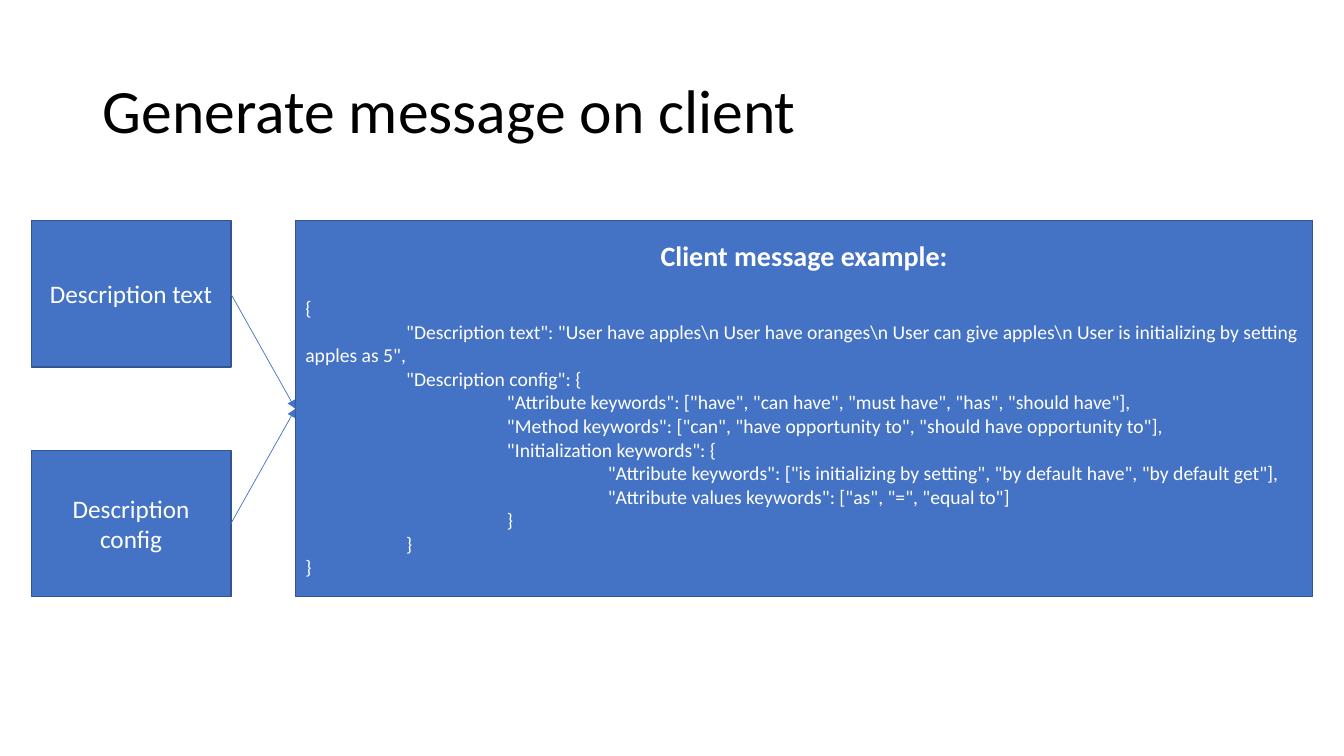
"""Build the slide that shows how the client message is put together."""
from dataclasses import dataclass

from pptx import Presentation
from pptx.dml.color import RGBColor
from pptx.enum.shapes import MSO_CONNECTOR, MSO_SHAPE
from pptx.enum.text import MSO_ANCHOR, PP_ALIGN
from pptx.oxml.ns import qn
from pptx.util import Inches, Pt
from lxml import etree

RECT = MSO_SHAPE.RECTANGLE
STRAIGHT = MSO_CONNECTOR.STRAIGHT
MIDDLE = MSO_ANCHOR.MIDDLE
LEFT, CENTER = PP_ALIGN.LEFT, PP_ALIGN.CENTER
LEFT_SITE, RIGHT_SITE = 1, 3

FONT = "Calibri"
COLORS = {"text": "000000", "fill": "4472C4", "border": "325491", "white": "FFFFFF"}


@dataclass
class Line:
    """A paragraph with its first-line indent in inches."""
    text: str
    size: int = 14
    indent: int = 0
    align: PP_ALIGN = LEFT
    bold: bool = False
    after: float = 0


@dataclass
class Box:
    """A filled rectangle, measured in inches."""
    left: float
    top: float
    width: float
    height: float
    lines: list[Line]


INPUT_SIZE = (1.98, 1.45)
TEXT_BOX = Box(0.31, 2.19, *INPUT_SIZE, [Line("Description text", 18, align=CENTER)])
CONFIG_BOX = Box(0.31, 4.47, *INPUT_SIZE, [Line("Description config", 18, align=CENTER)])
MESSAGE_BOX = Box(2.93, 2.19, 10.09, 3.73, [
    Line("Client message example:", 20, align=CENTER, bold=True, after=17),
    Line("{"),
    Line('"Description text": "User have apples\\n User have oranges\\n '
         'User can give apples\\n User is initializing by setting apples as 5",', indent=1),
    Line('"Description config": {', indent=1),
    Line('"Attribute keywords": ["have", "can have", "must have", "has", "should have"],', indent=2),
    Line('"Method keywords": ["can", "have opportunity to", "should have opportunity to"],', indent=2),
    Line('"Initialization keywords": {', indent=2),
    Line('"Attribute keywords": ["is initializing by setting", "by default have", '
         '"by default get"],', indent=3),
    Line('"Attribute values keywords": ["as", "=", "equal to"]', indent=3),
    Line("}", indent=2),
    Line("}", indent=1),
    Line("}"),
])


def rgb(name: str) -> RGBColor:
    """Look up a named colour."""
    return RGBColor.from_string(COLORS[name])


def set_font(p, size: int, color: str, bold: bool = False) -> None:
    """Format a whole paragraph."""
    p.font.name, p.font.size, p.font.bold = FONT, Pt(size), bold
    p.font.color.rgb = rgb(color)


def add_box(s, box: Box):
    """Draw a rectangle with its lines of text."""
    sp = s.shapes.add_shape(RECT, Inches(box.left), Inches(box.top),
                            Inches(box.width), Inches(box.height))
    sp.shadow.inherit = False
    sp.fill.solid()
    sp.fill.fore_color.rgb = rgb("fill")
    sp.line.color.rgb = rgb("border")
    sp.line.width = Pt(1)
    tf = sp.text_frame
    tf.word_wrap = True
    tf.vertical_anchor = MIDDLE
    for i, line in enumerate(box.lines):
        p = tf.add_paragraph() if i else tf.paragraphs[0]
        p.text = line.text
        p.alignment = line.align
        p.space_after = Pt(line.after)
        set_font(p, line.size, "white", line.bold)
        if line.indent:
            p._p.get_or_add_pPr().set("indent", str(Inches(line.indent)))
    return sp


def add_arrow(s, source, target) -> None:
    """Connect the right side of one box to the left side of another."""
    cx = s.shapes.add_connector(STRAIGHT, 0, 0, 0, 0)
    cx.begin_connect(source, RIGHT_SITE)
    cx.end_connect(target, LEFT_SITE)
    cx.line.color.rgb = rgb("fill")
    cx.line.width = Pt(0.5)
    etree.SubElement(cx.line._get_or_add_ln(), qn("a:tailEnd"), type="triangle")
    etree.SubElement(cx._element.spPr, qn("a:effectLst"))


def add_title(s, text: str) -> None:
    """Place and format the slide title."""
    title = s.shapes.title
    title.left, title.top = Inches(0.92), Inches(0.4)
    title.width, title.height = Inches(11.5), Inches(1.45)
    tf = title.text_frame
    tf.text = text
    tf.word_wrap = True
    tf.vertical_anchor = MIDDLE
    p = tf.paragraphs[0]
    p.alignment = LEFT
    p.line_spacing = 0.9
    set_font(p, 44, "text")


def main() -> None:
    """Build and save the presentation."""
    prs = Presentation()
    prs.slide_width, prs.slide_height = Inches(13.33), Inches(7.5)
    s = prs.slides.add_slide(prs.slide_layouts.get_by_name("Title Only"))
    add_title(s, "Generate message on client")
    inputs = [add_box(s, box) for box in (TEXT_BOX, CONFIG_BOX)]
    message = add_box(s, MESSAGE_BOX)
    for source in inputs:
        add_arrow(s, source, message)
    prs.save("out.pptx")


main()
